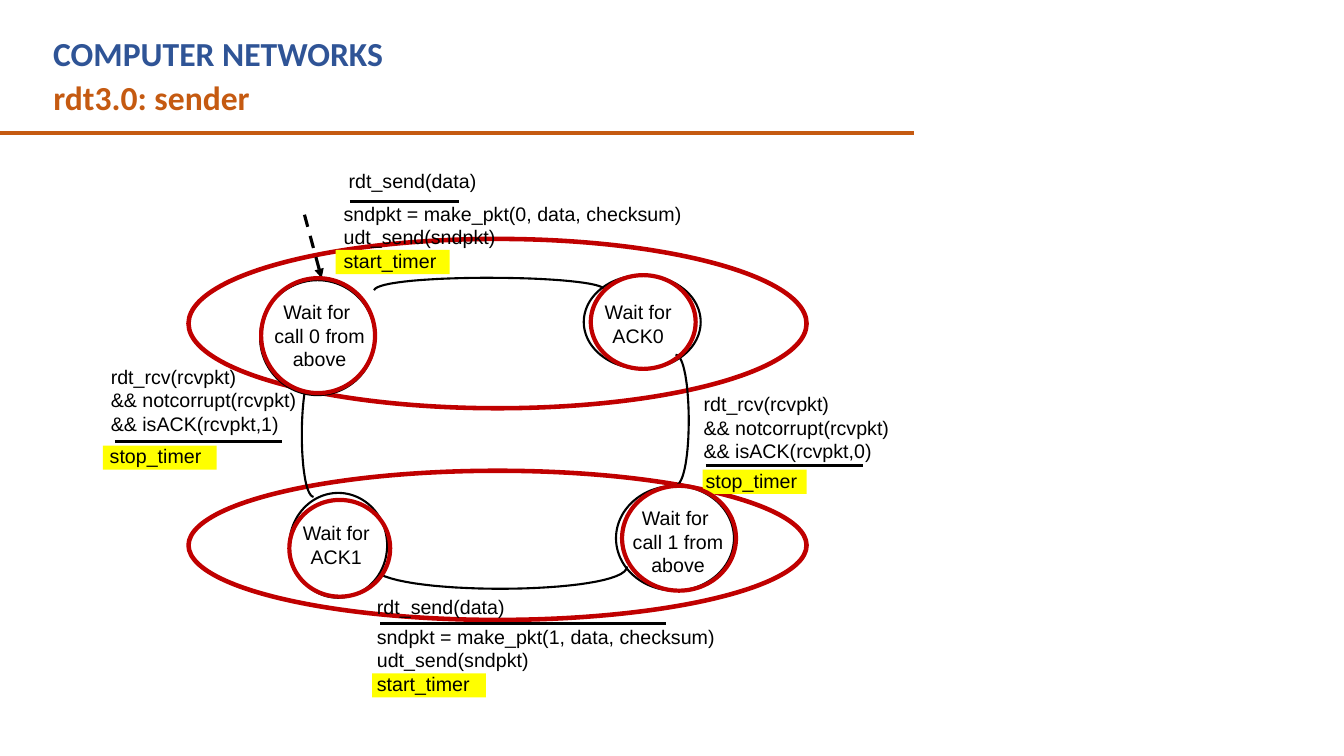
from dataclasses import dataclass
from lxml import etree
from pptx import Presentation
from pptx.dml.color import RGBColor as RGB
from pptx.enum.dml import MSO_LINE_DASH_STYLE as Dash
from pptx.enum.shapes import MSO_CONNECTOR as Conn, MSO_SHAPE as Shape
from pptx.enum.text import MSO_ANCHOR as Anchor, MSO_AUTO_SIZE as Auto, PP_ALIGN as Align
from pptx.oxml.ns import qn
from pptx.util import Inches, Pt


@dataclass(frozen=True)
class Theme:
    blue: str = "2F5496"
    orange: str = "C55A11"
    red: str = "C00000"
    yellow: str = "FFFF00"
    black: str = "000000"
    white: str = "FFFFFF"
    head_font: str = "Calibri"
    body_font: str = "Arial"
    head_size: float = 24
    body_size: float = 14


class Deck:
    """Places elements on a grid of 133.3 columns by 75 rows."""

    def __init__(self, theme):
        self.t = theme
        self.prs = Presentation()
        self.prs.slide_width, self.prs.slide_height = Inches(13.33), Inches(7.5)
        self.col = self.prs.slide_width / 133.3
        self.row = self.prs.slide_height / 75
        self.s = self.prs.slides.add_slide(self.prs.slide_layouts[5])

    def x(self, columns):
        return round(columns * self.col)

    def y(self, rows):
        return round(rows * self.row)

    def box(self, at):
        left, top, width, height = at
        return self.x(left), self.y(top), self.x(width), self.y(height)

    def fill_text(self, sp, lines, font, size, color, bold=False, align=Align.LEFT):
        tf = sp.text_frame
        tf.word_wrap, tf.auto_size, tf.vertical_anchor = True, Auto.NONE, Anchor.TOP
        for i, line in enumerate(lines):
            p = tf.paragraphs[0] if i == 0 else tf.add_paragraph()
            p.alignment = align
            r = p.add_run()
            r.text = line
            r.font.name, r.font.size, r.font.bold = font, Pt(size), bold
            r.font.color.rgb = RGB.from_string(color)

    def heading(self, sp, text, color):
        self.fill_text(sp, [text], self.t.head_font, self.t.head_size, color, True)

    def title(self, at, text, color):
        sp = self.s.shapes.title
        sp.left, sp.top, sp.width, sp.height = self.box(at)
        self.heading(sp, text, color)

    def course(self, at, text, color):
        self.heading(self.s.shapes.add_textbox(*self.box(at)), text, color)

    def label(self, at, lines, align=Align.LEFT):
        sp = self.s.shapes.add_textbox(*self.box(at))
        self.fill_text(sp, lines, self.t.body_font, self.t.body_size, self.t.black, align=align)

    def stroke(self, sp, color, width):
        sp.line.color.rgb, sp.line.width = RGB.from_string(color), Pt(width)

    def shape(self, kind, at, fill=None, line=None, width=1.5):
        sp = self.s.shapes.add_shape(kind, *self.box(at))
        sp.shadow.inherit = False
        if fill:
            sp.fill.solid()
            sp.fill.fore_color.rgb = RGB.from_string(fill)
        else:
            sp.fill.background()
        if line:
            self.stroke(sp, line, width)
        else:
            sp.line.fill.background()

    def line(self, x1, y1, x2, y2, color, width, arrow=False):
        c = self.s.shapes.add_connector(Conn.STRAIGHT, self.x(x1), self.y(y1), self.x(x2), self.y(y2))
        self.stroke(c, color, width)
        props = c.element.spPr
        if arrow:
            c.line.dash_style = Dash.DASH
            etree.SubElement(props.find(qn("a:ln")), qn("a:tailEnd"), type="triangle")
        etree.SubElement(props, qn("a:effectLst"))

    def curve(self, *knots, steps=32):
        """Cubic arc through four control points."""
        def point(k):
            u = k / steps
            weights = ((1 - u) ** 3, 3 * u * (1 - u) ** 2, 3 * u * u * (1 - u), u ** 3)
            px, py = (sum(w * n for w, n in zip(weights, axis)) for axis in zip(*knots))
            return self.x(px), self.y(py)

        fb = self.s.shapes.build_freeform(*point(0))
        fb.add_line_segments([point(k) for k in range(1, steps + 1)], close=False)
        sp = fb.convert_to_shape()
        sp.shadow.inherit = False
        sp.fill.background()
        self.stroke(sp, self.t.black, 1.5)

    def state(self, circle, text_at, lines):
        self.shape(Shape.OVAL, circle, self.t.white, self.t.black)
        self.label(text_at, lines, Align.CENTER)

    def transition(self, arc, rule, *labels):
        self.curve(*arc)
        for at, lines in labels:
            self.label(at, lines)
        x1, x2, y = rule
        self.line(x1, y, x2, y, self.t.black, 2.25)


def send_actions(n):
    return [f"sndpkt = make_pkt({n}, data, checksum)", "udt_send(sndpkt)", "start_timer"]


def ack_event(n):
    return ["rdt_rcv(rcvpkt)", "&& notcorrupt(rcvpkt)", f"&& isACK(rcvpkt,{n})"]


def main():
    t = Theme()
    d = Deck(t)

    # Large ovals pairing the states
    for top, height in ((46.7, 14.8), (23.7, 16.8)):
        d.shape(Shape.OVAL, (18.7, top, 61.3, height), line=t.red, width=3.25)

    # Header
    d.title((4.3, 7.1, 96.3, 5), "rdt3.0: sender", t.orange)
    d.line(-0.1, 13.2, 90.7, 13.2, t.orange, 3)
    d.course((4.3, 2.8, 82, 5), "COMPUTER NETWORKS", t.blue)

    # Timer highlights
    for left, top, width in ((10.2, 44.2, 11.3), (36.9, 66.8, 11.3), (69.7, 46.6, 10.3), (33.3, 24.8, 11.3)):
        d.shape(Shape.RECTANGLE, (left, top, width, 2.4), t.yellow)

    # Initial arrow and right-hand states
    d.line(30.2, 21.3, 31.9, 27.6, t.black, 2.25, arrow=True)
    d.state((57.9, 27.3, 11.6, 9.3), (57.5, 29.3, 11.6, 4.7), ["Wait for ACK0"])
    d.state((61.1, 48.2, 11.7, 10.4), (61.4, 49.7, 11.7, 5.2), ["Wait for ", "call 1 from above"])

    # Transitions: arc, rule between event and action, labels
    d.transition(((37.1, 28.8), (37.6, 27.1), (60, 27.2), (60, 28.8)), (34.7, 45.5, 20),
                 ((33.1, 19.5, 42.2, 6.1), send_actions(0)),
                 ((33.6, 16.3, 18.9, 3.1), ["rdt_send(data)"]))
    d.transition(((36.9, 56.2), (37.5, 59.2), (62.2, 59.1), (62.2, 56.2)), (37.7, 66.1, 61.9),
                 ((36.4, 61.5, 37.7, 6), send_actions(1)),
                 ((36.4, 58.5, 18.9, 3.1), ["rdt_send(data)"]))
    d.transition(((67, 48.2), (68.8, 47.9), (68.7, 35.2), (67, 35.2)), (70, 85.6, 46.2),
                 ((68.8, 38.4, 23.5, 6.2), ack_event(0)),
                 ((69, 46, 16.6, 2), ["stop_timer"]))
    d.transition(((31.1, 49.3), (29.5, 49), (29.6, 36.9), (31.1, 36.9)), (11.4, 28, 43.8),
                 ((10, 35.7, 20.9, 6.2), ack_event(1)),
                 ((9.9, 43.5, 16.6, 4.4), ["stop_timer"]))

    # Left-hand states
    d.state((25.8, 27.8, 11.4, 11.4), (26, 29.3, 11.4, 5.7), ["Wait for ", "call 0 from above"])
    d.state((28.7, 48.9, 9.7, 10.4), (28.5, 51.2, 9.7, 5.2), ["Wait for ACK1"])

    # Red rings around the states
    for ring in ((58.6, 27.3, 10.4, 9.3), (25.9, 27.6, 11.3, 11.4), (61.7, 48.2, 11.3, 10.4), (28.7, 49.6, 10, 9.6)):
        d.shape(Shape.OVAL, ring, line=t.red, width=3)

    d.prs.save("out.pptx")


if __name__ == "__main__":
    main()
